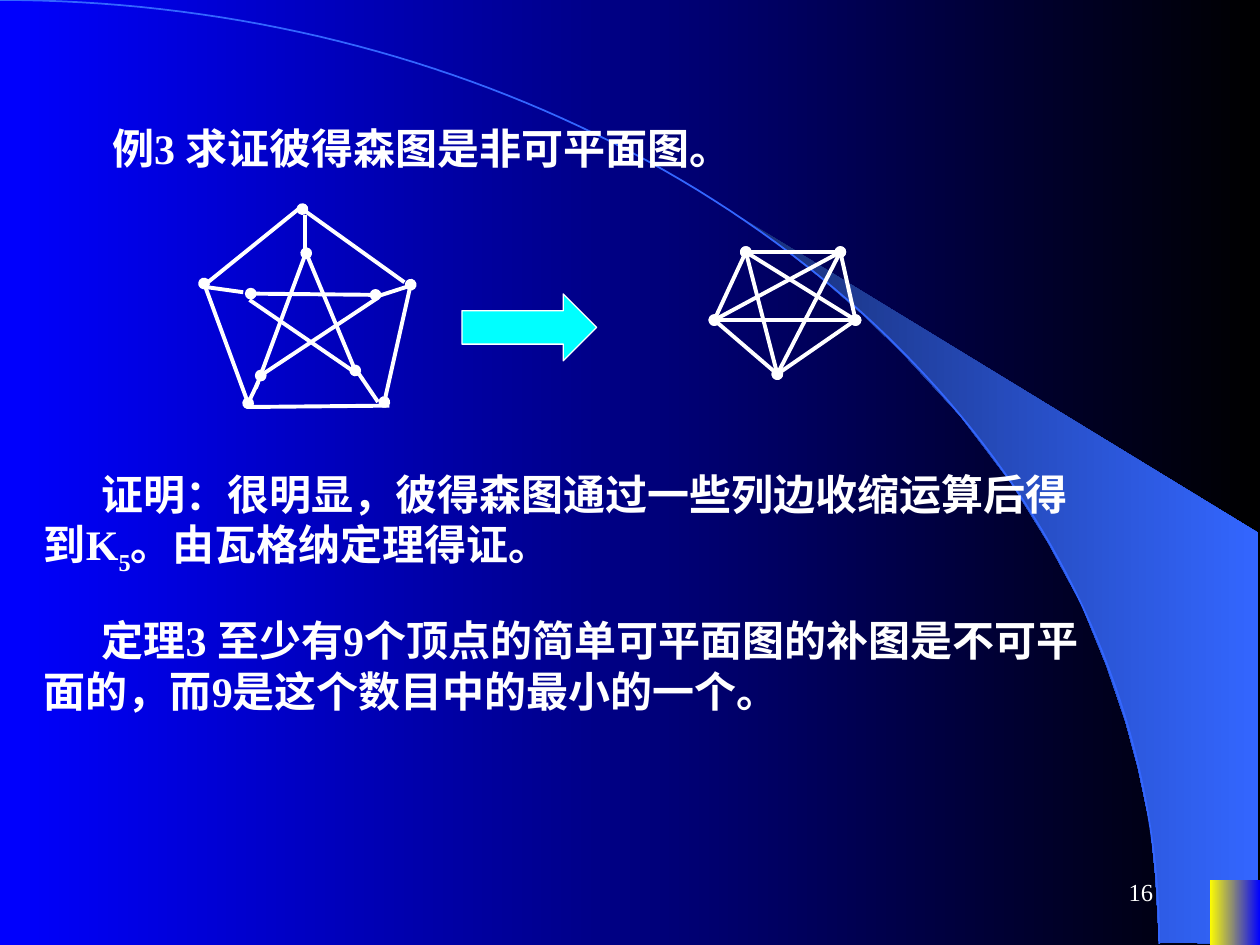
import itertools
import math

import lxml.etree
import pptx
import pptx.dml.color
import pptx.enum.shapes
import pptx.enum.text
import pptx.oxml.ns
import pptx.util

Pt = pptx.util.Pt
Color = pptx.dml.color.RGBColor
qn = pptx.oxml.ns.qn
SHAPES = pptx.enum.shapes.MSO_SHAPE
TEXT = pptx.enum.text

WHITE = Color(0xFF, 0xFF, 0xFF)
BLACK = Color(0, 0, 0)
BLUE = Color(0, 0, 0xFF)
SKY = Color(0x33, 0x66, 0xFF)
NAVY = Color(0x18, 0x2F, 0x76)
YELLOW = Color(0xFF, 0xFF, 0)
CYAN = Color(0, 0xFF, 0xFF)
FONT = "Times New Roman"
INDENT = 33

# Outline of the wedge, relative to its top left corner
WEDGE = [(295, 0 + 180), (295.2, 414.7), (238.3, 414), (236.2, 376.6), (233.3, 347.8),
         (226.1, 313.9), (218.9, 287.3), (208.1, 255.6), (193.7, 220.3), (175, 185.8),
         (154.1, 151.9), (124.6, 113), (91.4, 77), (69.1, 55.4), (46.1, 35.3),
         (25.2, 18.7), (0, 0)]

# Edges of the Petersen graph: start, end, dot at start, dot at end
PETERSEN = [
    ((119.7, 44.7), (104.6, 111.7), True, True),
    ((0.2, 46.2), (56.4, 0.8), False, False),
    ((57.8, 1.5), (116.1, 43.3), True, False),
    ((32.6, 100.2), (26.8, 112.4), False, False),
    ((3.8, 46.2), (24, 49), False, False),
    ((100.3, 52.6), (34, 96.6), False, True),
    ((99.6, 50.5), (28.3, 49.8), True, True),
    ((60, 26.7), (88, 93.7), True, True),
    ((27.6, 53.4), (87.3, 94.4), False, False),
    ((59.2, 5.1), (59.2, 28.2), False, False),
    ((59.2, 28.2), (31.2, 103.8), False, False),
    ((1.6, 44), (26.8, 112.4), True, True),
    ((26.1, 114.6), (107.5, 113.8), False, False),
    ((119, 45.4), (101, 51.2), False, False),
    ((88.8, 93.7), (101, 111.7), False, False),
]
K5_CORNERS = [(18.2, 0), (72.2, 0), (80.9, 38.9), (36.2, 69.8), (0.2, 38.9)]


def fill_gradient(fill, start, end):
    """Fill from left to right with two colours."""
    fill.gradient()
    fill.gradient_angle = 0
    for stop, color in zip(fill.gradient_stops, (start, end)):
        stop.color.rgb = color


def add_outline(page, left, top, points, close):
    """Draw a freeform through points given relative to left and top."""
    corners = [(Pt(left + x), Pt(top + y)) for x, y in points]
    builder = page.shapes.build_freeform(*corners[0], scale=1.0)
    builder.add_line_segments(corners[1:], close=close)
    outline = builder.convert_to_shape()
    outline.shadow.inherit = False
    return outline


def add_backdrop(page, width, height):
    """Draw the gradient, the wedge, the arc and the corner block."""
    fill_gradient(page.background.fill, BLUE, BLACK)
    wedge = add_outline(page, 424.1, 124.6, WEDGE, True)
    fill_gradient(wedge.fill, NAVY, SKY)
    wedge.line.fill.background()

    steps = 90
    angles = [math.pi / 2 * step / steps for step in range(steps + 1)]
    curve = [(662.4 * math.sin(a), 539.3 * (1 - math.cos(a))) for a in angles]
    arc = add_outline(page, 0, 0, curve, False)
    arc.fill.background()
    arc.line.color.rgb = SKY
    arc.line.width = Pt(1)

    block = page.shapes.add_shape(SHAPES.RECTANGLE, Pt(width - 28.8), Pt(height - 37.4),
                                  Pt(28.8), Pt(37.4))
    block.shadow.inherit = False
    fill_gradient(block.fill, YELLOW, BLUE)
    block.line.fill.background()


def write_statement(box, left, top, width, height, parts):
    """Place a text box or title and write parts of (text, is subscript)."""
    box.left, box.top, box.width, box.height = Pt(left), Pt(top), Pt(width), Pt(height)
    frame = box.text_frame
    frame.word_wrap = True
    frame.vertical_anchor = TEXT.MSO_ANCHOR.TOP
    frame.auto_size = TEXT.MSO_AUTO_SIZE.SHAPE_TO_FIT_TEXT
    para = frame.paragraphs[0]
    para.alignment = TEXT.PP_ALIGN.LEFT
    para.space_before = Pt(15)
    para.line_spacing = 1.0
    para.font.name, para.font.size, para.font.bold = FONT, Pt(24), True
    para.font.color.rgb = WHITE
    para._p.get_or_add_pPr().set("indent", str(Pt(INDENT)))
    for text, subscript in parts:
        span = para.add_run()
        span.text = text
        if subscript:
            span.font._element.set("baseline", "-25000")


def add_edge(group, left, top, start, end, start_dot, end_dot):
    """Draw one graph edge, with round dots at the chosen ends."""
    edge = group.shapes.add_connector(
        pptx.enum.shapes.MSO_CONNECTOR.STRAIGHT,
        Pt(left + start[0]), Pt(top + start[1]), Pt(left + end[0]), Pt(top + end[1]))
    edge.line.color.rgb = WHITE
    edge.line.width = Pt(2.25)
    outline = edge.line._get_or_add_ln()
    for tag, dotted in (("a:headEnd", start_dot), ("a:tailEnd", end_dot)):
        if dotted:
            lxml.etree.SubElement(outline, qn(tag), type="oval")
    lxml.etree.SubElement(edge._element.spPr, qn("a:effectLst"))


def add_graph(page, left, top, edges):
    """Draw a graph as one group of edges."""
    group = page.shapes.add_group_shape()
    for edge in edges:
        add_edge(group, left, top, *edge)


def complete_edges(corners):
    """Join every pair of corners; the diagonals carry the dots."""
    count = len(corners)
    edges = []
    for first, second in itertools.combinations(range(count), 2):
        diagonal = second - first not in (1, count - 1)
        edges.append((corners[first], corners[second], diagonal, diagonal))
    return edges


def add_arrow(page, left, top, width, height):
    """Draw the arrow between the two graphs."""
    arrow = page.shapes.add_shape(SHAPES.RIGHT_ARROW, Pt(left), Pt(top), Pt(width), Pt(height))
    arrow.shadow.inherit = False
    arrow.fill.solid()
    arrow.fill.fore_color.rgb = CYAN
    arrow.line.color.rgb = WHITE
    arrow.line.width = Pt(0.75)


def add_page_number(page, left, top, width, height, number):
    """Write the page number at the right of its box."""
    box = page.shapes.add_textbox(Pt(left), Pt(top), Pt(width), Pt(height))
    box.text_frame.word_wrap = True
    box.text_frame.vertical_anchor = TEXT.MSO_ANCHOR.MIDDLE
    para = box.text_frame.paragraphs[0]
    para.text = number
    para.alignment = TEXT.PP_ALIGN.RIGHT
    para.font.name, para.font.size = FONT, Pt(14)
    para.font.color.rgb = WHITE


def add_proof_page(deck):
    """Build the slide on the Petersen graph."""
    page = deck.slides.add_slide(deck.slide_layouts[5])
    add_backdrop(page, 720, 540)
    add_page_number(page, 516.2, 491.8, 149.8, 36, "16")

    title = page.shapes.title
    title.element.getparent().append(title.element)  # in front of the arc
    write_statement(title, 23.8, 66.2, 612, 36, [("例3 求证彼得森图是非可平面图。", False)])

    add_graph(page, 115, 118, PETERSEN)
    add_arrow(page, 264, 168, 77, 38.2)
    add_graph(page, 408, 144, complete_edges(K5_CORNERS))

    statements = [
        (264.2, 69.1, [("证明：很明显，彼得森图通过一些列边收缩运算后得到K", False),
                       ("5", True), ("。由瓦格纳定理得证。", False)]),
        (347.8, 64.8, [("定理3 至少有9个顶点的简单可平面图的补图是不可平面的，"
                        "而9是这个数目中的最小的一个。", False)]),
    ]
    for top, height, parts in statements:
        box = page.shapes.add_textbox(0, 0, 0, 0)
        write_statement(box, 18, top, 612, height, parts)


deck = pptx.Presentation()
deck.slide_width, deck.slide_height = Pt(720), Pt(540)
add_proof_page(deck)
deck.save("out.pptx")
